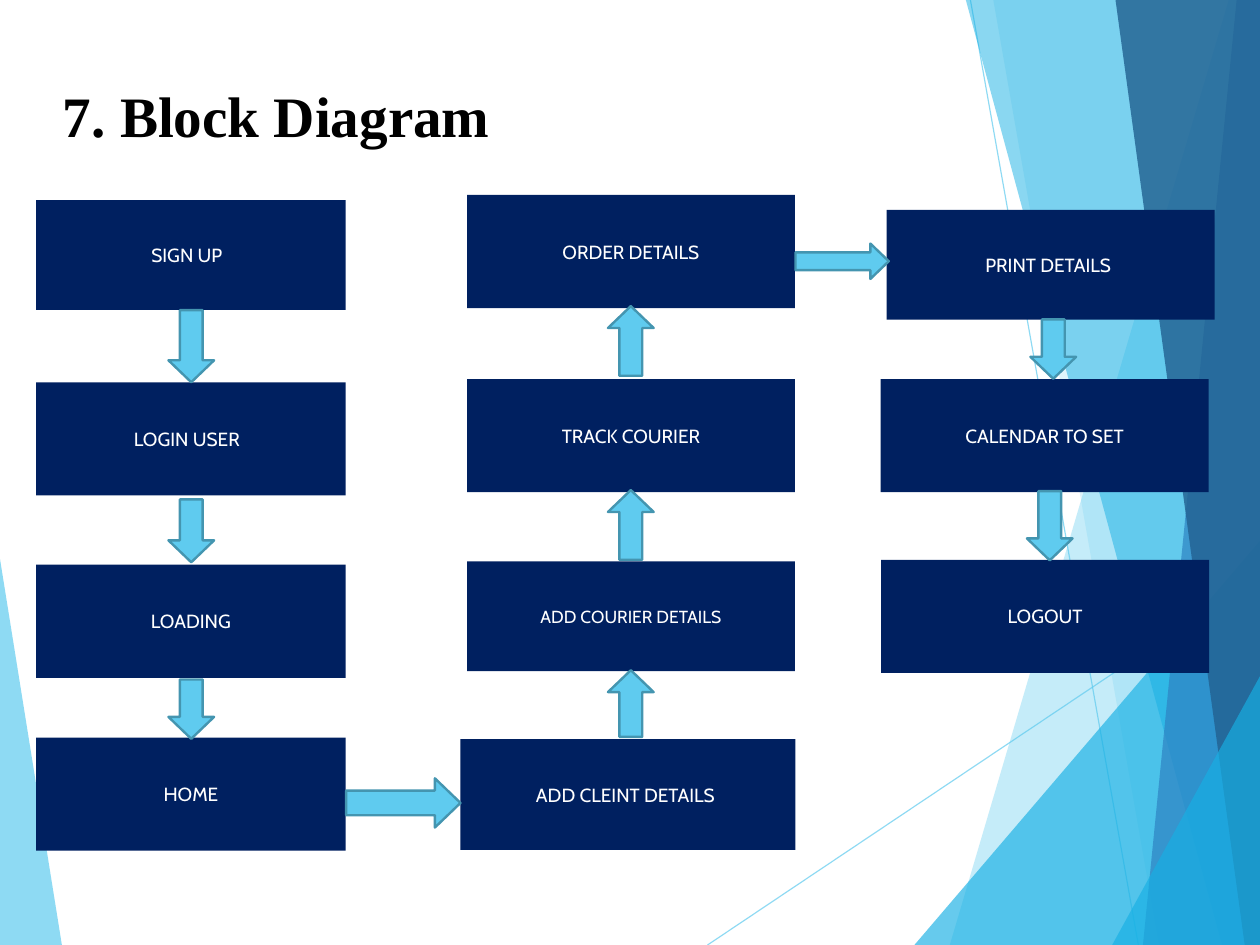
import pptx
import pptx.util
import pptx.dml.color
import pptx.enum.shapes
import pptx.enum.text
import pptx.oxml.ns
import lxml.etree

Pt = pptx.util.Pt
KIND = pptx.enum.shapes.MSO_SHAPE
ALIGN = pptx.enum.text.PP_ALIGN
MIDDLE = pptx.enum.text.MSO_ANCHOR.MIDDLE
WIDE, HIGH = 793.7, 595.28

COLORS = {"sky": "5FCBEF", "cyan": "17B0E4", "blue": "2E83C3",
          "deep": "236292", "navy": "002060", "edge": "4495B0",
          "black": "000000", "white": "FFFFFF"}


def color(name):
    return pptx.dml.color.RGBColor.from_string(COLORS[name])


def fade(fill, name, alpha):
    """Set a solid colour with the given opacity in percent."""
    fill.solid()
    fill.fore_color.rgb = color(name)
    tone = fill._xPr.find(".//" + pptx.oxml.ns.qn("a:srgbClr"))
    lxml.etree.SubElement(tone, pptx.oxml.ns.qn("a:alpha"), val=str(alpha * 1000))


def write(shape, text, font, insets, align):
    frame = shape.text_frame
    sides = ("margin_left", "margin_top", "margin_right", "margin_bottom")
    form = dict(zip(sides, map(Pt, insets)), word_wrap=True, vertical_anchor=MIDDLE)
    for key, value in form.items():
        setattr(frame, key, value)
    line = frame.paragraphs[0]
    line.alignment = align
    run = line.add_run()
    run.text = text
    for key, value in font.items():
        if key == "color":
            run.font.color.rgb = color(value)
        else:
            setattr(run.font, key, value)
    return line


def facet(slide, points, name, alpha):
    pen = slide.shapes.build_freeform(Pt(points[0][0]), Pt(points[0][1]))
    pen.add_line_segments([(Pt(x), Pt(y)) for x, y in points[1:]])
    shape = pen.convert_to_shape()
    shape.shadow.inherit = False
    shape.line.fill.background()
    fade(shape.fill, name, alpha)


def backdrop(slide, left, top, width, height):
    right, base = left + width, top + height
    # Left wedge
    facet(slide, [(left, top + 352), (left + 39, base), (left, base)], "sky", 70)
    # Thin lines
    for x1, y1, x2, y2 in [(445.7, height, width, 362.2), (611.3, 0, 717.1, height)]:
        line = slide.shapes.add_connector(
            pptx.enum.shapes.MSO_CONNECTOR.STRAIGHT,
            Pt(left + x1), Pt(top + y1), Pt(left + x2), Pt(top + y2))
        line.line.width = Pt(0.75)
        fade(line.line.fill, "sky", 70)
        lxml.etree.SubElement(line._element.spPr, pptx.oxml.ns.qn("a:effectLst"))
    # Right facets: x at the upper end, its y, x at the base
    for upper, y, lower, name, alpha in [
            (774, 0, 598.3, "sky", 36), (625.7, 0, 730.1, "sky", 20),
            (width, 340.6, 576, "cyan", 66), (608.4, 0, 769.7, "cyan", 50),
            (779, 0, 720, "blue", 70), (702.7, 0, 784.1, "deep", 82),
            (width, 426, 700.6, "cyan", 66)]:
        points = [(left + upper, top + y), (left + lower, base), (right, base)]
        if upper < width:
            points.append((right, top + y))
        facet(slide, points, name, alpha)


def title(slide, left, top, width, height):
    box = slide.shapes.add_textbox(Pt(left), Pt(top), Pt(width), Pt(height))
    font = {"size": Pt(36), "name": "Times New Roman", "bold": True, "color": "black"}
    line = write(box, "7. Block Diagram", font, (0, 2.2, 0, 0), ALIGN.LEFT)
    line.line_spacing = 0.93


def block(slide, left, top, width, height, text, size=12, shift=0):
    shape = slide.shapes.add_shape(KIND.RECTANGLE, Pt(left), Pt(top),
                                   Pt(width), Pt(height))
    shape.shadow.inherit = False
    shape.fill.solid()
    shape.fill.fore_color.rgb = color("navy")
    shape.line.fill.background()
    font = {"size": Pt(size), "name": "Cabin", "color": "white"}
    write(shape, text, font, (7.2, 3.6, 7.2 + shift, 3.6), ALIGN.CENTER)


def arrow(slide, kind, left, top, width, height, head=0.48):
    shape = slide.shapes.add_shape(kind, Pt(left), Pt(top), Pt(width), Pt(height))
    shape.shadow.inherit = False
    shape.adjustments[1] = head
    shape.fill.solid()
    shape.fill.fore_color.rgb = color("sky")
    shape.line.color.rgb = color("edge")
    shape.line.width = Pt(1.5)


def diagram(slide, left, top):
    tall, low = 71.3, 69.1
    # Blocks: x, y, width, height, text, then size and text shift
    for x, y, *rest in [
            (0, 3.3, 195.1, low, "SIGN UP", 12, 5),
            (0, 118, 195.1, tall, "LOGIN USER", 12, 5),
            (0, 232.9, 195.1, tall, "LOADING"),
            (0, 341.8, 195.1, tall, "HOME"),
            (267.4, 342.8, 211, 69.8, "ADD CLEINT DETAILS", 12, 3),
            (271.5, 230.9, 206.6, low, "ADD COURIER DETAILS", 11),
            (271.5, 116, 206.6, tall, "TRACK COURIER"),
            (271.5, 0, 206.6, tall, "ORDER DETAILS"),
            (535.9, 9.4, 206.6, low, "PRINT DETAILS", 12, 3),
            (532.1, 116, 206.6, tall, "CALENDAR TO SET"),
            (532.4, 229.8, 206.6, tall, "LOGOUT")]:
        block(slide, left + x, top + y, *rest)
    # Upright arrows: x, y, height
    for kind, spots in [
            (KIND.DOWN_ARROW, [(83.4, 72.6, 45.4), (83.4, 191.8, 39.6),
                               (83.4, 305.2, 37.4), (626.4, 78.4, 37.4),
                               (624.2, 186.6, 43.6)]),
            (KIND.UP_ARROW, [(360.3, 70, 43.9), (360.3, 185.9, 43.9),
                             (360.3, 299.4, 42)])]:
        for x, y, height in spots:
            arrow(slide, kind, left + x, top + y, 28.8, height)
    # Arrows to the next column
    for x, y, width, height in [(195.4, 367.5, 72, 31), (478.4, 30.6, 58.8, 22.3)]:
        arrow(slide, KIND.RIGHT_ARROW, left + x, top + y, width, height, 0.52)


def main():
    deck = pptx.Presentation()
    deck.slide_width, deck.slide_height = Pt(WIDE), Pt(HIGH)
    slide = deck.slides.add_slide(deck.slide_layouts[6])
    backdrop(slide, 0, 0, WIDE, HIGH)
    title(slide, 39.6, 23.8, 714.2, 99.4)
    diagram(slide, 22.7, 122.8)
    deck.save("out.pptx")


if __name__ == "__main__":
    main()
